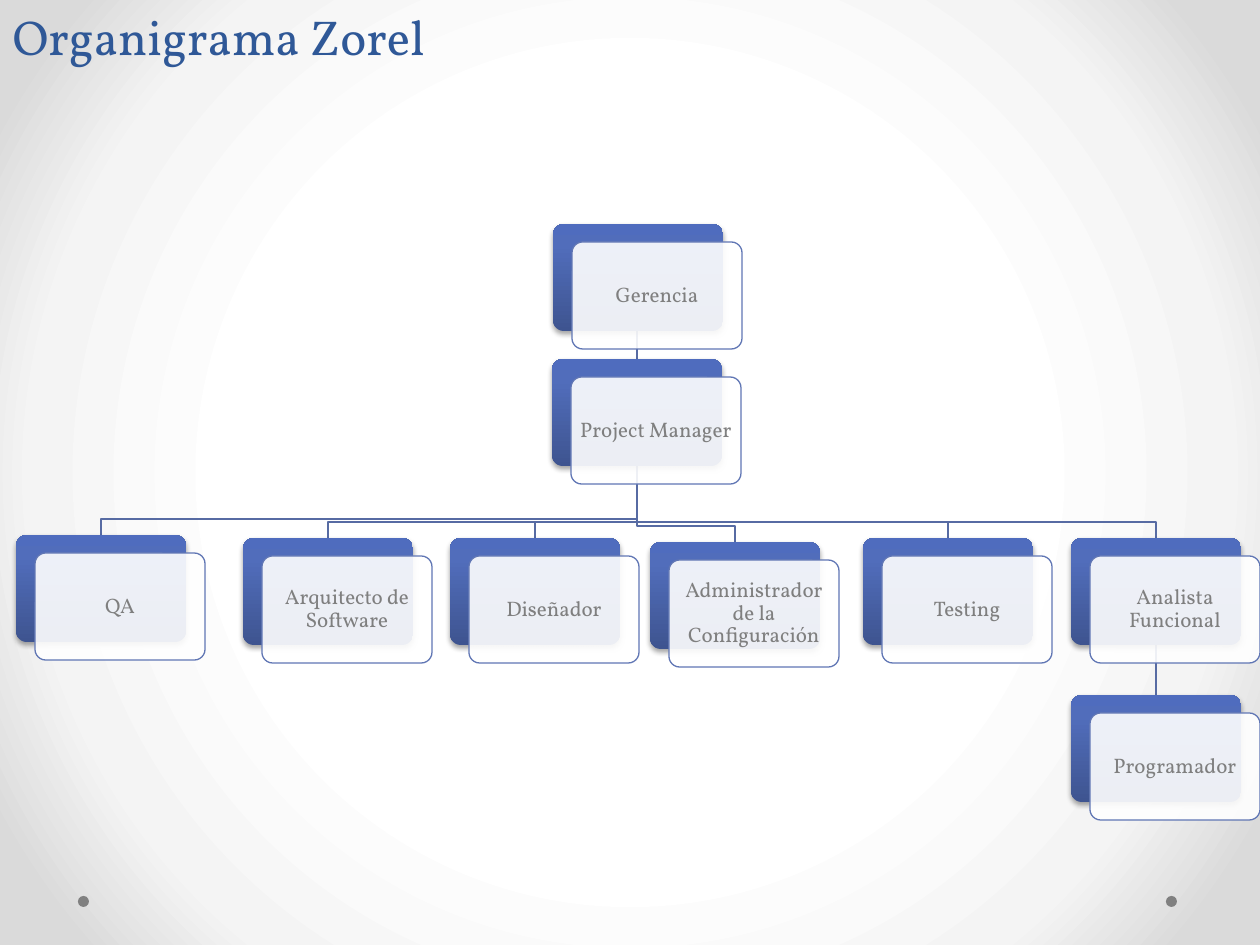
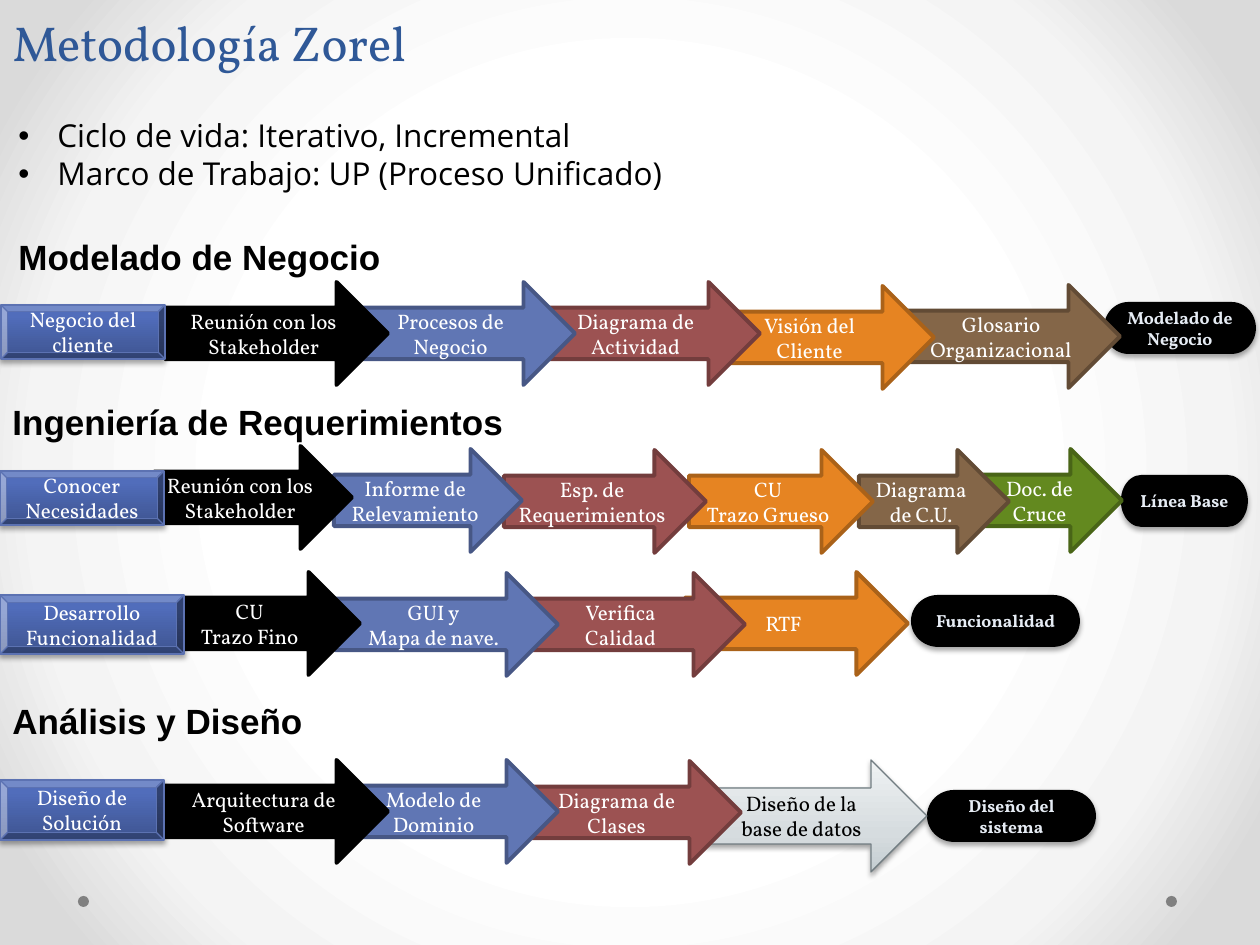
"""Build the organisation chart and methodology slides."""
from lxml.etree import SubElement
from pptx import Presentation
from pptx.dml.color import RGBColor
from pptx.enum.shapes import MSO_CONNECTOR as CONN, MSO_SHAPE as SHAPE
from pptx.enum.text import MSO_ANCHOR as ANCHOR, MSO_AUTO_SIZE as FIT, PP_ALIGN as ALIGN
from pptx.oxml import parse_xml
from pptx.oxml.ns import nsdecls, qn
from pptx.util import Pt

PX = 914400 // 126
SERIF, SANS, HEAD = "Vollkorn", "Open Sans", "Arial"

WHITE = RGBColor(0xFF, 0xFF, 0xFF)
BLACK = RGBColor(0, 0, 0)
TITLE = RGBColor(0x2F, 0x58, 0x97)
DOT = RGBColor(0x80, 0x80, 0x80)
BOX_TEXT = RGBColor(0x7F, 0x7F, 0x7F)
BLUE = RGBColor(0x60, 0x76, 0xB4)
LINK = RGBColor(0x57, 0x6B, 0xA3)
BEVEL_LINE = RGBColor(0x5C, 0x72, 0xB2)
RESULT_TEXT = RGBColor(0xE6, 0xEC, 0xF4)
SILVER_LINE = RGBColor(0x72, 0x7D, 0x82)
ARROW_COLOURS = [
    (BLACK, BLACK),
    (BLUE, RGBColor(0x47, 0x57, 0x85)),
    (RGBColor(0x9C, 0x52, 0x52), RGBColor(0x73, 0x3D, 0x3D)),
    (RGBColor(0xE6, 0x84, 0x22), RGBColor(0xAA, 0x62, 0x19)),
    (RGBColor(0x84, 0x66, 0x48), RGBColor(0x62, 0x4B, 0x35)),
    (RGBColor(0x63, 0x89, 0x1F), RGBColor(0x49, 0x65, 0x17)),
]
LINEAR = '<a:lin ang="16200000" scaled="0"/>'
RADIAL = '<a:path path="circle"><a:fillToRect l="50000" t="50000" r="50000" b="50000"/></a:path>'
PAGE_STOPS = [(50, WHITE), (76, RGBColor(0xF4, 0xF4, 0xF4)), (92, RGBColor(0xDA, 0xDA, 0xDA))]
BLUE_STOPS = [(0, RGBColor(0x3E, 0x54, 0x90)), (80, RGBColor(0x51, 0x6D, 0xBB)),
              (100, RGBColor(0x4F, 0x6C, 0xBE))]
SILVER_STOPS = [(0, RGBColor(0xC5, 0xCE, 0xD2)), (35, RGBColor(0xD6, 0xDC, 0xDF)),
                (100, RGBColor(0xEF, 0xF2, 0xF3))]

BOX_W, BOX_H, SHIFT_X, SHIFT_Y, DROP = 170, 107, 19, 18, 16
ROLES = {
    "Gerencia": (553, 224, None),
    "Project Manager": (552, 359, "Gerencia"),
    "QA": (16, 535, "Project Manager"),
    "Arquitecto de Software": (243, 538, "Project Manager"),
    "Diseñador": (450, 538, "Project Manager"),
    "Administrador de la Configuración": (650, 542, "Project Manager"),
    "Testing": (863, 538, "Project Manager"),
    "Analista Funcional": (1071, 538, "Project Manager"),
    "Programador": (1071, 695, "Analista Funcional"),
}

BULLETS = ["Ciclo de vida: Iterativo, Incremental", "Marco de Trabajo: UP (Proceso Unificado)"]
HEADINGS = [("Modelado de Negocio", 6, 229), ("Ingeniería de Requerimientos", 0, 394),
            ("Análisis y Diseño", 0, 693)]
ARROW_H, SILVER_H, RESULT_H = 103, 112, 52
PHASES = [
    {"start": ("Negocio del cliente", 1, 305, 164, 54),
     "steps": [("Reunión con los Stakeholder", 165, 282, 223),
               ("Procesos de Negocio", 352, 282, 223),
               ("Diagrama de Actividad", 537, 282, 223),
               ("Visión del\nCliente", 711, 286, 223),
               ("Glosario Organizacional", 908, 285, 212)],
     "result": ("Modelado de\nNegocio", 1104, 302, 152)},
    {"start": ("Conocer Necesidades", 0, 471, 164, 54),
     "steps": [("Reunión con los Stakeholder", 154, 446, 198),
               ("Informe de Relevamiento", 334, 449, 188),
               ("Esp. de Requerimientos", 504, 450, 202),
               ("CU\nTrazo Grueso", 689, 450, 184),
               ("Diagrama\nde C.U.", 859, 450, 150),
               ("Doc. de\nCruce", 983, 449, 139)],
     "result": ("Línea Base", 1121, 475, 127)},
    {"start": ("Desarrollo\nFuncionalidad", 0, 595, 184, 59),
     "steps": [("CU\nTrazo Fino", 165, 572, 195),
               ("GUI y\nMapa de nave.", 335, 573, 223),
               ("Verifica\nCalidad", 522, 573, 223),
               ("RTF", 685, 572, 223)],
     "result": ("Funcionalidad", 911, 595, 169)},
    {"start": ("Diseño de\nSolución", 0, 780, 164, 60),
     "steps": [("Arquitectura de Software", 165, 760, 223),
               ("Modelo de Dominio", 335, 760, 223),
               ("Diagrama de Clases", 518, 761, 223)],
     "silver": ("Diseño de la\nbase de datos", 704, 760, 223),
     "result": ("Diseño del sistema", 927, 790, 169)},
]


def emu(*lengths):
    return [v * PX for v in lengths]


def set_gradient(owner, fill, stops, shade):
    fill.gradient()
    old = owner.element.find(".//" + qn("a:gradFill"))
    gs = "".join(f'<a:gs pos="{pos * 1000}"><a:srgbClr val="{c}"/></a:gs>' for pos, c in stops)
    new = parse_xml(f'<a:gradFill {nsdecls("a")} rotWithShape="1">'
                    f'<a:gsLst>{gs}</a:gsLst>{shade}</a:gradFill>')
    old.getparent().replace(old, new)


def set_text(tf, text, size, colour, font=SERIF, bold=False, align=ALIGN.CENTER,
             anchor=ANCHOR.MIDDLE):
    tf.text = text
    tf.word_wrap = True
    tf.auto_size = FIT.NONE
    tf.vertical_anchor = anchor
    for p in tf.paragraphs:
        p.alignment = align
        for r in p.runs:
            r.font.name, r.font.size, r.font.bold = font, Pt(size), bold
            r.font.color.rgb = colour


def set_line(line, colour, width):
    if colour is None:
        line.fill.background()
    else:
        line.color.rgb = colour
        line.width = Pt(width)


def add_shape(slide, kind, box, fill, line=None, width=0.75, shadow=False):
    s = slide.shapes.add_shape(kind, *emu(*box))
    s.shadow.inherit = False
    if isinstance(fill, list):
        set_gradient(s, s.fill, fill, LINEAR)
    else:
        s.fill.solid()
        s.fill.fore_color.rgb = fill
    set_line(s.line, line, width)
    if shadow:
        s.element.spPr.find(qn("a:effectLst")).append(parse_xml(
            f'<a:outerShdw {nsdecls("a")} blurRad="{Pt(3.1)}" dist="{Pt(1.8)}" dir="5400000" '
            'rotWithShape="0"><a:srgbClr val="000000"><a:alpha val="35000"/></a:srgbClr>'
            '</a:outerShdw>'))
    return s


def add_text(slide, box, text, size, font, bold=False):
    tf = slide.shapes.add_textbox(*emu(*box)).text_frame
    set_text(tf, text, size, BLACK, font, bold, ALIGN.LEFT, ANCHOR.TOP)
    return tf


def add_slide(title, top):
    slide = prs.slides.add_slide(prs.slide_layouts[5])
    s = slide.shapes.title
    s.left, s.top, s.width, s.height = emu(0, top, 1260, 72)
    set_text(s.text_frame, title, 28, TITLE, align=ALIGN.LEFT, anchor=ANCHOR.TOP)
    for left in (78, 1166):
        add_shape(slide, SHAPE.OVAL, (left, 896, 11, 11), DOT)
    return slide


def add_link(slide, parent, child):
    x1, y1 = parent[0] + BOX_W // 2, parent[1] + BOX_H
    x2, y2 = child[0] + BOX_W // 2, child[1]
    if abs(x1 - x2) < 2:
        s = slide.shapes.add_connector(CONN.STRAIGHT, *emu(x2, y1, x2, y2))
        set_line(s.line, LINK, 0.75)
        SubElement(s.element.spPr, qn("a:effectLst"))
        return
    bend = y2 - DROP
    path = slide.shapes.build_freeform(x1, y1, scale=PX)
    path.add_line_segments([(x1, bend), (x2, bend), (x2, y2)], close=False)
    s = path.convert_to_shape()
    s.shadow.inherit = False
    s.fill.background()
    set_line(s.line, LINK, 0.75)


def add_role(slide, name, left, top):
    back = add_shape(slide, SHAPE.ROUNDED_RECTANGLE, (left, top, BOX_W, BOX_H), BLUE_STOPS,
                     shadow=True)
    front = add_shape(slide, SHAPE.ROUNDED_RECTANGLE,
                      (left + SHIFT_X, top + SHIFT_Y, BOX_W, BOX_H), WHITE, BLUE)
    back.adjustments[0] = front.adjustments[0] = 0.1
    SubElement(front.element.spPr.find(qn("a:solidFill"))[0], qn("a:alpha"), val="90000")
    tf = front.text_frame
    set_text(tf, name, 12, BOX_TEXT)
    tf.margin_left = tf.margin_right = tf.margin_top = tf.margin_bottom = 6 * PX
    tf.paragraphs[0].line_spacing = 0.9


def add_phase(slide, phase):
    text, *box = phase["result"]
    s = add_shape(slide, SHAPE.FLOWCHART_TERMINATOR, (*box, RESULT_H), BLACK, shadow=True)
    set_text(s.text_frame, text, 10, RESULT_TEXT, bold=True)
    if "silver" in phase:
        text, *box = phase["silver"]
        s = add_shape(slide, SHAPE.RIGHT_ARROW, (*box, SILVER_H), SILVER_STOPS, SILVER_LINE,
                      shadow=True)
        set_text(s.text_frame, text, 12, BLACK)
    for (text, *box), (fill, line) in reversed(list(zip(phase["steps"], ARROW_COLOURS))):
        s = add_shape(slide, SHAPE.RIGHT_ARROW, (*box, ARROW_H), fill, line, 2.25)
        set_text(s.text_frame, text, 12, WHITE)
    text, *box = phase["start"]
    s = add_shape(slide, SHAPE.BEVEL, box, BLUE_STOPS, BEVEL_LINE, shadow=True)
    set_text(s.text_frame, text, 12, WHITE)


prs = Presentation()
prs.slide_width, prs.slide_height = emu(1260, 945)
set_gradient(prs.slide_master, prs.slide_master.background.fill, PAGE_STOPS, RADIAL)

chart = add_slide("Organigrama Zorel", 0)
for left, top, boss in ROLES.values():
    if boss:
        add_link(chart, ROLES[boss], (left, top))
for name, (left, top, boss) in ROLES.items():
    add_role(chart, name, left, top)

method = add_slide("Metodología Zorel", 6)
tf = add_text(method, (6, 110, 1240, 90), "\n".join(BULLETS), 18, SANS)
for p in tf.paragraphs:
    p.line_spacing = Pt(21.7)
    pPr = p._p.get_or_add_pPr()
    pPr.set("marL", str(39 * PX))
    pPr.set("indent", str(-39 * PX))
    SubElement(pPr, qn("a:buFont"), typeface=HEAD)
    SubElement(pPr, qn("a:buChar"), char="•")
for text, left, top in HEADINGS:
    add_text(method, (left, top, 560, 54), text, 20, HEAD, True)
for phase in PHASES:
    add_phase(method, phase)

prs.save("out.pptx")
